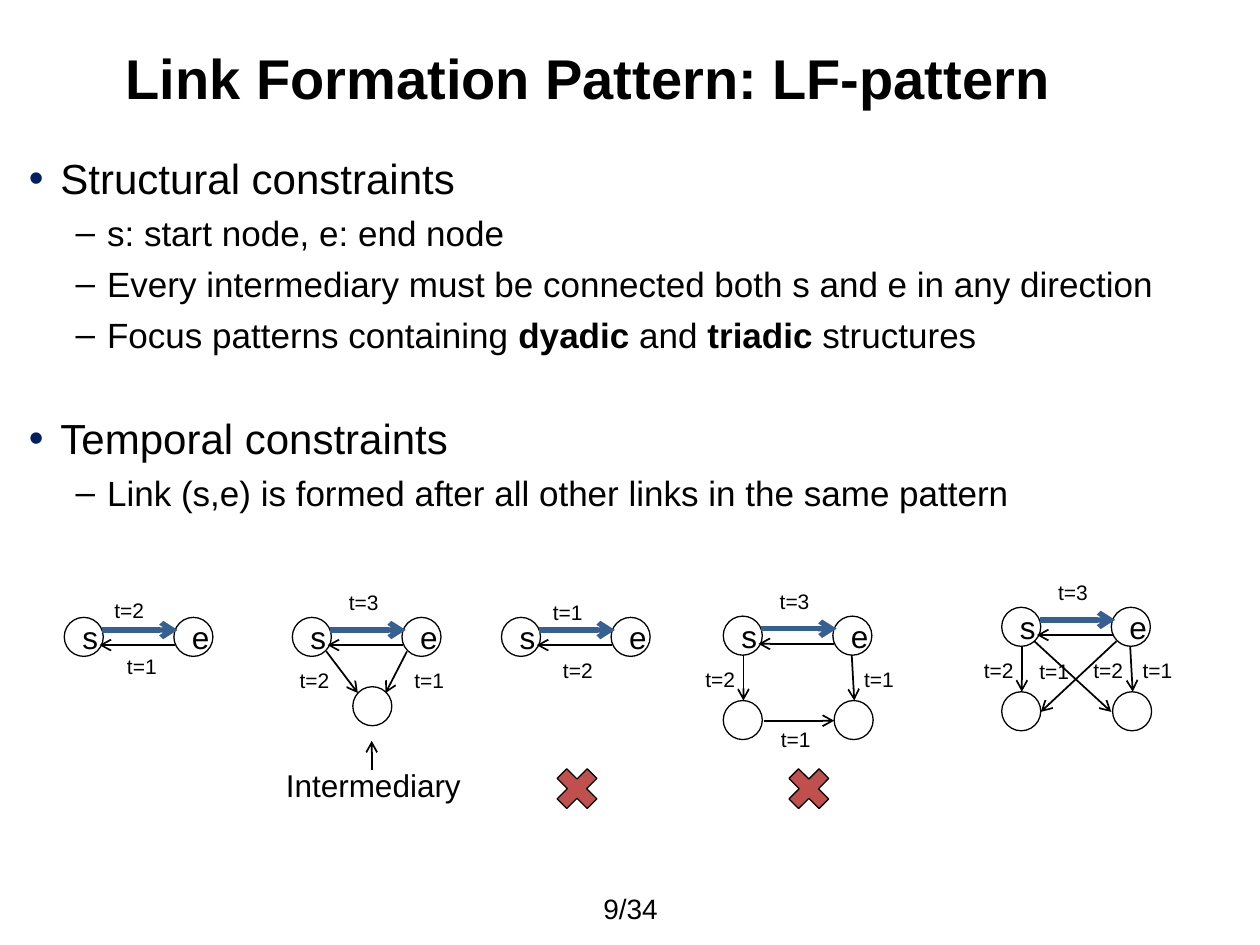
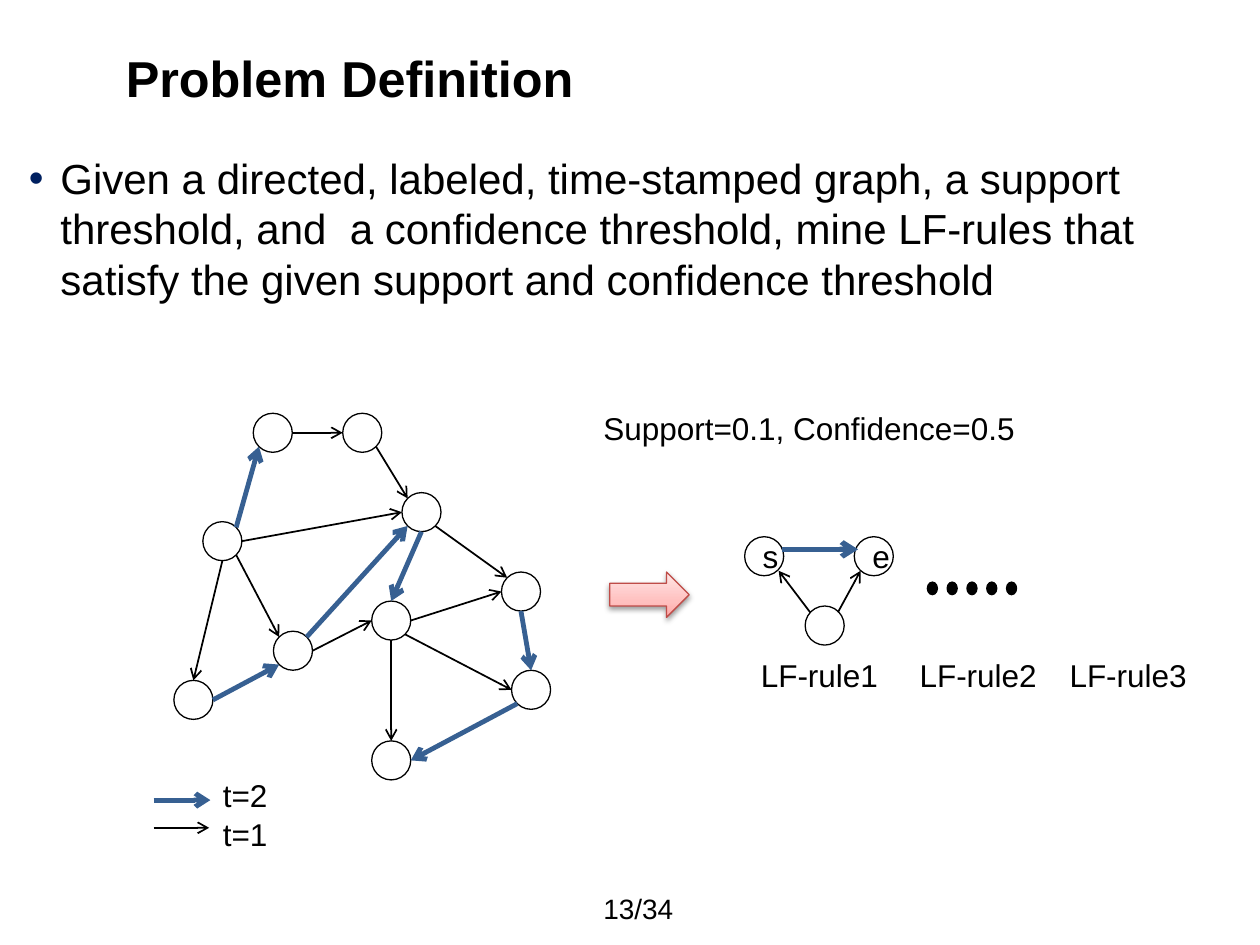
import copy
import math

import pptx
import pptx.dml.color
import pptx.enum.shapes
import pptx.enum.text
import pptx.oxml
import pptx.oxml.ns
import pptx.util
from pptx.util import Inches

SHAPE = pptx.enum.shapes.MSO_SHAPE
ANCHOR = pptx.enum.text.MSO_ANCHOR
FONT = "Arial"
COLORS = {
    "ink": "000000",
    "bullet": "002060",
    "link": "376092",
    "cross": "C0504D",
    "arrow_line": "BF4C48",
    "arrow_dark": "FFA6A5",
    "arrow_mid": "FFC0BF",
    "arrow_light": "FFE7E7",
}
NODE = 0.31
DIAGONAL = NODE / 2 * math.sqrt(0.5)
SITES = {
    "n": (0, -NODE / 2), "s": (0, NODE / 2),
    "e": (NODE / 2, 0), "w": (-NODE / 2, 0),
    "ne": (DIAGONAL, -DIAGONAL), "nw": (-DIAGONAL, -DIAGONAL),
    "se": (DIAGONAL, DIAGONAL), "sw": (-DIAGONAL, DIAGONAL),
}


def rgb(name):
    return pptx.dml.color.RGBColor.from_string(COLORS[name])


def sub_element(parent, tag, **attrs):
    el = pptx.oxml.parse_xml(f"<a:{tag} {pptx.oxml.ns.nsdecls('a')}/>")
    for key, value in attrs.items():
        el.set(key, str(value))
    parent.append(el)
    return el


def add_run(p, text, size, bold=False):
    r = p.add_run()
    r.text = text
    r.font.name = FONT
    r.font.size = pptx.util.Pt(size)
    r.font.bold = bold
    r.font.color.rgb = rgb("ink")


def add_text(s, text, x, y, w, h, size=18, bold=False, wrap=False, anchor=ANCHOR.TOP):
    tf = s.shapes.add_textbox(Inches(x), Inches(y), Inches(w), Inches(h)).text_frame
    tf.word_wrap = wrap
    tf.vertical_anchor = anchor
    add_run(tf.paragraphs[0], text, size, bold)


def add_shape(s, kind, x, y, w, h, fill=None, line="ink"):
    sp = s.shapes.add_shape(kind, Inches(x), Inches(y), Inches(w), Inches(h))
    sp.shadow.inherit = False
    if fill:
        sp.fill.solid()
        sp.fill.fore_color.rgb = rgb(fill)
    else:
        sp.fill.background()
    sp.line.color.rgb = rgb(line)
    sp.line.width = pptx.util.Pt(0.75)
    return sp


def add_node(s, x, y, label=None):
    sp = add_shape(s, SHAPE.OVAL, x, y, NODE, NODE)
    if label:
        tf = sp.text_frame
        tf.vertical_anchor = ANCHOR.MIDDLE
        tf.paragraphs[0].alignment = pptx.enum.text.PP_ALIGN.CENTER
        add_run(tf.paragraphs[0], label, 18)


def add_arrow(s, x1, y1, x2, y2, color="ink", width=1):
    cx = s.shapes.add_connector(pptx.enum.shapes.MSO_CONNECTOR.STRAIGHT,
                                Inches(x1), Inches(y1), Inches(x2), Inches(y2))
    cx.line.color.rgb = rgb(color)
    cx.line.width = pptx.util.Pt(width)
    sub_element(cx.line._get_or_add_ln(), "tailEnd", type="arrow")
    sub_element(cx._element.spPr, "effectLst")


def add_bullets(s, items, x, y, w, h):
    """Each item is (level, space before, runs); every second run is bold."""
    tf = s.shapes.add_textbox(Inches(x), Inches(y), Inches(w), Inches(h)).text_frame
    tf.word_wrap = True
    tf.margin_left = tf.margin_right = tf.margin_top = tf.margin_bottom = 0
    for i, (level, before, runs) in enumerate(items):
        p = tf.paragraphs[0] if i == 0 else tf.add_paragraph()
        pPr = p._p.get_or_add_pPr()
        pPr.set("marL", str(Inches((0.25, 0.62)[level])))
        pPr.set("indent", str(Inches(-0.25)))
        color = sub_element(pPr, "buClr")
        sub_element(color, "srgbClr", val=COLORS[("bullet", "ink")[level]])
        sub_element(pPr, "buFont", typeface=FONT)
        sub_element(pPr, "buChar", char="•–"[level])
        p.level = level
        p.space_before = pptx.util.Pt(before)
        for j, text in enumerate(runs):
            add_run(p, text, (24, 20)[level], bold=j % 2 == 1)


def add_frame(prs, title, title_size, bullets, number):
    """Add a slide with its title, bullet text and page number."""
    s = prs.slides.add_slide(prs.slide_layouts[6])
    add_text(s, title, 0.9, 0.29, 8.29, 0.64, size=title_size, bold=True,
             wrap=True, anchor=ANCHOR.MIDDLE)
    add_bullets(s, bullets, 0.23, 1.21, 9.53, 5.43)
    add_text(s, f"{number}/34", 4.69, 7.06, 0.86, 0.29, size=16,
             wrap=True, anchor=ANCHOR.MIDDLE)
    return s


def add_pattern(s, x, y, nodes=(), arrows=(), labels=(), back_link=True):
    """Draw s and e with their links, then extra parts relative to s."""
    add_node(s, x, y, "s")
    add_node(s, x + 0.87, y, "e")
    add_arrow(s, x + 0.3, y + 0.1, x + 0.9, y + 0.1, "link", 3)
    if back_link:
        add_arrow(s, x + 0.88, y + 0.22, x + 0.28, y + 0.22)
    for dx, dy in nodes:
        add_node(s, x + dx, y + dy)
    for x1, y1, x2, y2 in arrows:
        add_arrow(s, x + x1, y + y1, x + x2, y + y2)
    for time, dx, dy in labels:
        add_text(s, f"t={time}", x + dx, y + dy, 0.44, 0.3, size=12)


def add_patterns(s):
    apex = [(0.48, 0.55)]
    lower_pair = [(0, 0.67), (0.88, 0.67)]
    sides = [(0.16, 0.31, 0.16, 0.67), (1.02, 0.31, 1.04, 0.67)]
    square_labels = [(3, 0.35, -0.27), (2, -0.24, 0.35), (1, 1.02, 0.35)]

    add_pattern(s, 0.51, 4.9, labels=[(2, 0.3, -0.21), (1, 0.4, 0.24)])
    add_pattern(s, 2.32, 4.9, apex,
                [(0.27, 0.27, 0.52, 0.6), (0.91, 0.27, 0.74, 0.6)],
                [(3, 0.35, -0.27), (2, -0.04, 0.35), (1, 0.87, 0.35)])
    add_arrow(s, 2.95, 6.11, 2.95, 5.88)
    add_text(s, "Intermediary", 2.17, 6.03, 1.6, 0.4)
    add_pattern(s, 3.98, 4.9, labels=[(2, 0.39, 0.27), (1, 0.31, -0.19)])
    add_pattern(s, 5.74, 4.89, lower_pair, sides + [(0.32, 0.83, 0.88, 0.83)],
                square_labels + [(1, 0.36, 0.83)])
    add_pattern(s, 7.95, 4.82, lower_pair,
                sides + [(0.26, 0.27, 0.87, 0.83), (0.91, 0.27, 0.31, 0.83)],
                square_labels + [(1, 0.2, 0.36), (2, 0.63, 0.35)])
    for x in (4.35, 6.19):
        add_shape(s, SHAPE.MATH_MULTIPLY, x, 6.03, 0.46, 0.46, fill="cross")


def add_graph(s, x, y):
    nodes = [(0.63, 0), (1.34, 0), (1.81, 0.63), (0.23, 0.86), (0.79, 1.73),
             (1.57, 1.49), (2.6, 1.26), (0, 2.12), (1.57, 2.6), (2.68, 2.04)]
    first_links = [(0, "e", 1, "w"), (1, "se", 2, "nw"), (3, "s", 7, "n"),
                   (3, "se", 4, "nw"), (3, "e", 2, "w"), (2, "se", 6, "nw"),
                   (5, "s", 8, "n"), (4, "e", 5, "w"), (5, "e", 6, "w"),
                   (5, "se", 9, "w")]
    second_links = [(3, "ne", 0, "sw"), (2, "s", 5, "n"), (6, "s", 9, "n"),
                    (9, "sw", 8, "e"), (7, "e", 4, "sw"), (4, "ne", 2, "sw")]

    def site(node, side):
        return [o + n + NODE / 2 + d
                for o, n, d in zip((x, y), nodes[node], SITES[side])]

    for dx, dy in nodes:
        add_node(s, x + dx, y + dy)
    for links, color, width in ((first_links, "ink", 1), (second_links, "link", 2.75)):
        for start, side1, end, side2 in links:
            add_arrow(s, *site(start, side1), *site(end, side2), color, width)


def add_legend(s, x, y):
    add_arrow(s, x, y + 0.24, x + 0.45, y + 0.24, "link", 2.75)
    add_arrow(s, x, y + 0.46, x + 0.44, y + 0.46)
    add_text(s, "t=2", x + 0.45, y, 0.56, 0.4)
    add_text(s, "t=1", x + 0.45, y + 0.31, 0.56, 0.4)


def add_result_arrow(s, x, y):
    sp = add_shape(s, SHAPE.RIGHT_ARROW, x, y, 0.63, 0.36, line="arrow_line")
    sp.fill.gradient()
    sp.fill.gradient_angle = 90
    stops = sp._element.spPr.find(".//" + pptx.oxml.ns.qn("a:gsLst"))
    stops.insert(1, copy.deepcopy(stops[0]))
    ramp = ((0, "arrow_dark"), (0.35, "arrow_mid"), (1, "arrow_light"))
    for stop, (position, color) in zip(sp.fill.gradient_stops, ramp):
        stop.position = position
        stop.color.rgb = rgb(color)
    effects = sp._element.spPr.find(pptx.oxml.ns.qn("a:effectLst"))
    shadow = sub_element(effects, "outerShdw", blurRad=pptx.util.Pt(3.1),
                         dist=pptx.util.Pt(1.6), dir=5400000, rotWithShape=0)
    black = sub_element(shadow, "srgbClr", val=COLORS["ink"])
    sub_element(black, "alpha", val=38000)


def add_rules(s, x, y):
    add_pattern(s, x, y, [(0.48, 0.55)],
                [(0.52, 0.6, 0.27, 0.27), (0.74, 0.6, 0.92, 0.27)], back_link=False)
    for i in range(5):
        add_shape(s, SHAPE.OVAL, x + 1.45 + 0.157 * i, y + 0.36, 0.08, 0.1, fill="ink")
    for i, dx in enumerate((0.03, 1.29, 2.48), 1):
        add_text(s, f"LF-rule{i}", x + dx, y + 0.9, 1.14, 0.4)


def main():
    prs = pptx.Presentation()
    prs.slide_width, prs.slide_height = Inches(10), Inches(7.5)

    s = add_frame(prs, "Link Formation Pattern: LF-pattern", 32, [
        (0, 0, ["Structural constraints"]),
        (1, 5, ["s: start node, e: end node"]),
        (1, 5, ["Every intermediary must be connected both s and e in any direction"]),
        (1, 5, ["Focus patterns containing ", "dyadic", " and ", "triadic", " structures"]),
        (0, 33, ["Temporal constraints"]),
        (1, 5, ["Link (s,e) is formed after all other links in the same pattern"]),
    ], 9)
    add_patterns(s)

    s = add_frame(prs, "Problem Definition", 28.8, [
        (0, 0, ["Given a directed, labeled, time-stamped graph, a support threshold, "
                "and  a confidence threshold, mine LF-rules that satisfy the given "
                "support and confidence threshold"]),
    ], 13)
    add_graph(s, 1.38, 3.28)
    add_legend(s, 1.22, 6.11)
    add_text(s, "Support=0.1, Confidence=0.5", 4.69, 3.2, 3.5, 0.4)
    add_result_arrow(s, 4.84, 4.54)
    add_rules(s, 5.91, 4.26)

    prs.save("out.pptx")


if __name__ == "__main__":
    main()
